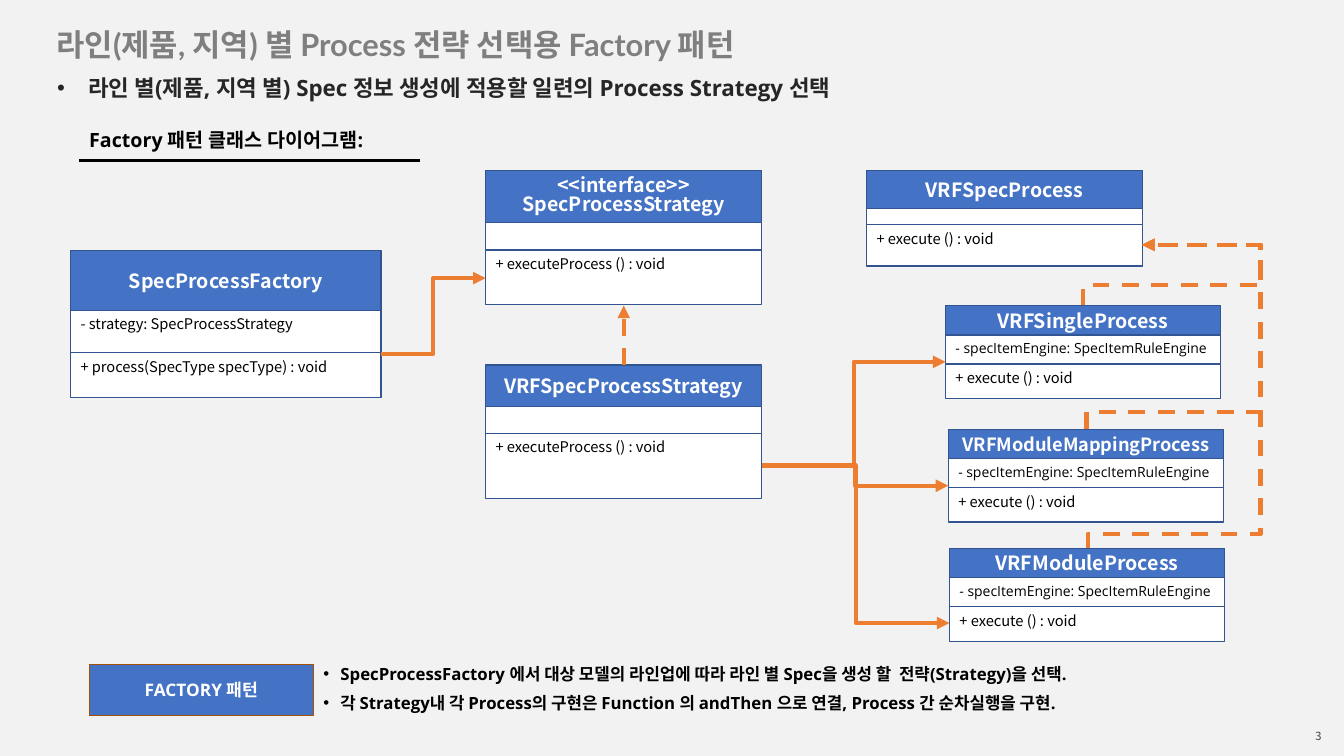
from pptx import Presentation
from pptx.dml.color import RGBColor
from pptx.enum.dml import MSO_LINE
from pptx.enum.shapes import MSO_CONNECTOR, MSO_SHAPE
from pptx.enum.text import MSO_ANCHOR, PP_ALIGN
from pptx.oxml.ns import qn
from pptx.util import Cm, Pt
from lxml.etree import SubElement

COLORS = {"bg": "F2F2F2", "title": "7F7F7F", "subtitle": "262626", "number": "404040",
          "blue": "4472C4", "border": "325491", "orange": "ED7D31", "rust": "A54F00",
          "white": "FFFFFF", "black": "000000"}
NOTO, OPEN = "Noto Sans CJK KR", "Open Sans"

# Content
TITLE = "라인(제품, 지역) 별 Process 전략 선택용 Factory 패턴"
SUBTITLE = "라인 별(제품, 지역 별) Spec 정보 생성에 적용할 일련의 Process Strategy 선택"
LABEL = "Factory 패턴 클래스 다이어그램:"
NOTES = ["SpecProcessFactory 에서 대상 모델의 라인업에 따라 라인 별 Spec을 생성 할  전략(Strategy)을 선택.",
         "각 Strategy내 각 Process의 구현은 Function 의 andThen 으로 연결, Process 간 순차실행을 구현."]
ENGINE = "- specItemEngine: SpecItemRuleEngine"
EXECUTE, EXECUTE_PROCESS = "+ execute () : void", "+ executeProcess () : void"
STEP = (0.74, 0.73, 0.87)
# name lines, header size, fields, methods, left, top, width, compartment heights
CLASSES = [
    (["SpecProcessFactory"], 14, "- strategy: SpecProcessStrategy",
     "+ process(SpecType specType) : void", 1.78, 6.32, 7.82, (1.5, 1.07, 1.13)),
    (["<<interface>>", "SpecProcessStrategy"], 14, "", EXECUTE_PROCESS,
     12.24, 4.29, 6.95, (1.32, 0.69, 1.37)),
    (["VRFSpecProcessStrategy"], 14, "", EXECUTE_PROCESS, 12.24, 9.2, 6.95, (1.05, 0.67, 1.65)),
    (["VRFSpecProcess"], 14, "", EXECUTE, 21.84, 4.29, 6.95, (0.96, 0.41, 1.04)),
    (["VRFSingleProcess"], 14, ENGINE, EXECUTE, 23.83, 7.7, 6.93, STEP),
    (["VRFModuleMappingProcess"], 13, ENGINE, EXECUTE, 23.9, 10.82, 6.93, STEP),
    (["VRFModuleProcess"], 14, ENGINE, EXECUTE, 23.93, 13.82, 6.93, STEP),
]
STRATEGY_OUT = (19.2, 11.73)
USES = [((9.6, 8.92), (12.24, 7.01)), (STRATEGY_OUT, (23.83, 9.12)),
        (STRATEGY_OUT, (23.9, 12.24)), (STRATEGY_OUT, (23.93, 15.7))]
# start x, start y, height of the turn towards the shared rail
EXTENDS = [(27.3, 7.7, 7.19), (27.41, 13.82, 13.46), (27.38, 10.82, 10.39)]
BASE, RAIL = (28.78, 6.17), 31.77


def rgb(name):
    return RGBColor.from_string(COLORS[name])


def write(sp, lines, size, color="black", font=OPEN, bold=True, anchor=MSO_ANCHOR.TOP,
          bullet=0, **para):
    tf = sp.text_frame
    tf.word_wrap, tf.vertical_anchor = True, anchor
    for i, line in enumerate(lines):
        p = tf.paragraphs[0] if i == 0 else tf.add_paragraph()
        for key, value in {"alignment": PP_ALIGN.LEFT, **para}.items():
            setattr(p, key, value)
        if bullet:
            pPr = p._p.get_or_add_pPr()
            pPr.set("marL", str(Cm(bullet)))
            pPr.set("indent", str(-Cm(bullet)))
            SubElement(pPr, qn("a:buFont"), typeface="Arial")
            SubElement(pPr, qn("a:buChar"), char="•")
        r = p.add_run()
        r.text = line
        for key, value in {"name": font, "size": Pt(size), "bold": bold}.items():
            setattr(r.font, key, value)
        r.font.color.rgb = rgb(color)
        SubElement(r._r.get_or_add_rPr(), qn("a:ea"), typeface=NOTO)


def text_box(x, y, w, h, lines, size, **fmt):
    sp = s.shapes.add_textbox(Cm(x), Cm(y), Cm(w), Cm(h))
    write(sp, lines, size, **fmt)


def box(x, y, w, h, fill, border="border", width=1):
    sp = s.shapes.add_shape(MSO_SHAPE.RECTANGLE, Cm(x), Cm(y), Cm(w), Cm(h))
    sp.shadow.inherit = False
    sp.fill.solid()
    sp.fill.fore_color.rgb = rgb(fill)
    sp.line.color.rgb = rgb(border)
    sp.line.width = Pt(width)
    return sp


def connect(start, end, kind=MSO_CONNECTOR.STRAIGHT, color="orange", width=3,
            dash=False, arrow=True):
    c = s.shapes.add_connector(kind, *(Cm(v) for v in start + end))
    c.line.color.rgb = rgb(color)
    c.line.width = Pt(width)
    if dash:
        c.line.dash_style = MSO_LINE.DASH
    if arrow:
        SubElement(c.line._get_or_add_ln(), qn("a:tailEnd"), type="triangle")
    SubElement(c._element.spPr, qn("a:effectLst"))
    return c


def connect_by_rail(x, y, turn):
    """Go up, right to the rail, up again and back left to the base class."""
    c = connect((x, y), BASE, MSO_CONNECTOR.ELBOW, dash=True)
    rise, run = y - BASE[1], BASE[0] - x
    c.left, c.top = Cm((x + BASE[0] - rise) / 2), Cm((y + BASE[1] - run) / 2)
    c.width, c.height = Cm(rise), Cm(run)
    spPr = c._element.spPr
    for key, value in {"rot": "5400000", "flipH": "1", "flipV": "1"}.items():
        spPr.find(qn("a:xfrm")).set(key, value)
    geom = spPr.find(qn("a:prstGeom"))
    geom.set("prst", "bentConnector4")
    guides = geom.find(qn("a:avLst"))
    for name, ratio in (("adj1", (y - turn) / rise), ("adj2", (RAIL - x) / run)):
        SubElement(guides, qn("a:gd"), name=name, fmla=f"val {round(ratio * 100000)}")


prs = Presentation()
prs.slide_width, prs.slide_height = Cm(33.87), Cm(19.05)
s = prs.slides.add_slide(prs.slide_layouts[5])
s.background.fill.solid()
s.background.fill.fore_color.rgb = rgb("bg")

# Headings
title = s.shapes.title
for key, value in {"left": 1.17, "top": 0.64, "width": 27.3, "height": 1.09}.items():
    setattr(title, key, Cm(value))
write(title, [TITLE], 22, color="title", font="Lato", anchor=MSO_ANCHOR.MIDDLE, line_spacing=0.9)
text_box(1.19, 1.75, 29.62, 0.94, [SUBTITLE], 16, color="subtitle", bullet=0.79,
         space_before=Pt(10))
text_box(2.0, 3.1, 9.17, 0.86, [LABEL], 14)
connect((2.0, 4.04), (10.59, 4.04), color="black", width=1.75, arrow=False)

# Class boxes
for names, size, fields, methods, x, y, w, heights in CLASSES:
    for i, (lines, h) in enumerate(zip((names, [fields], [methods]), heights)):
        sp = box(x, y, w, h, "white" if i else "blue")
        if i == 0:
            write(sp, lines, size, color="white", font=NOTO, anchor=MSO_ANCHOR.MIDDLE,
                  alignment=PP_ALIGN.CENTER, line_spacing=0.8 if len(lines) > 1 else 1.0)
        elif lines[0]:
            engine = lines[0] == ENGINE
            write(sp, lines, 10 if engine else 10.5, font=OPEN if engine else NOTO, bold=False)
        y += h

# Relations
connect((15.72, 9.2), (15.72, 7.7), dash=True)
for start, end in USES:
    connect(start, end, MSO_CONNECTOR.ELBOW)
for start in EXTENDS:
    connect_by_rail(*start)

# Summary and slide number
sp = box(2.26, 16.74, 5.64, 1.3, "blue", "rust", 0.75)
write(sp, ["FACTORY 패턴"], 12.3, color="white", anchor=MSO_ANCHOR.MIDDLE,
      alignment=PP_ALIGN.CENTER)
text_box(7.9, 16.61, 25.45, 1.5, NOTES, 12, bullet=0.43, space_before=Pt(6))
text_box(32.61, 18.34, 1.24, 0.41, ["3"], 8, color="number", font=NOTO, bold=False,
         anchor=MSO_ANCHOR.MIDDLE, alignment=PP_ALIGN.CENTER)

prs.save("out.pptx")
